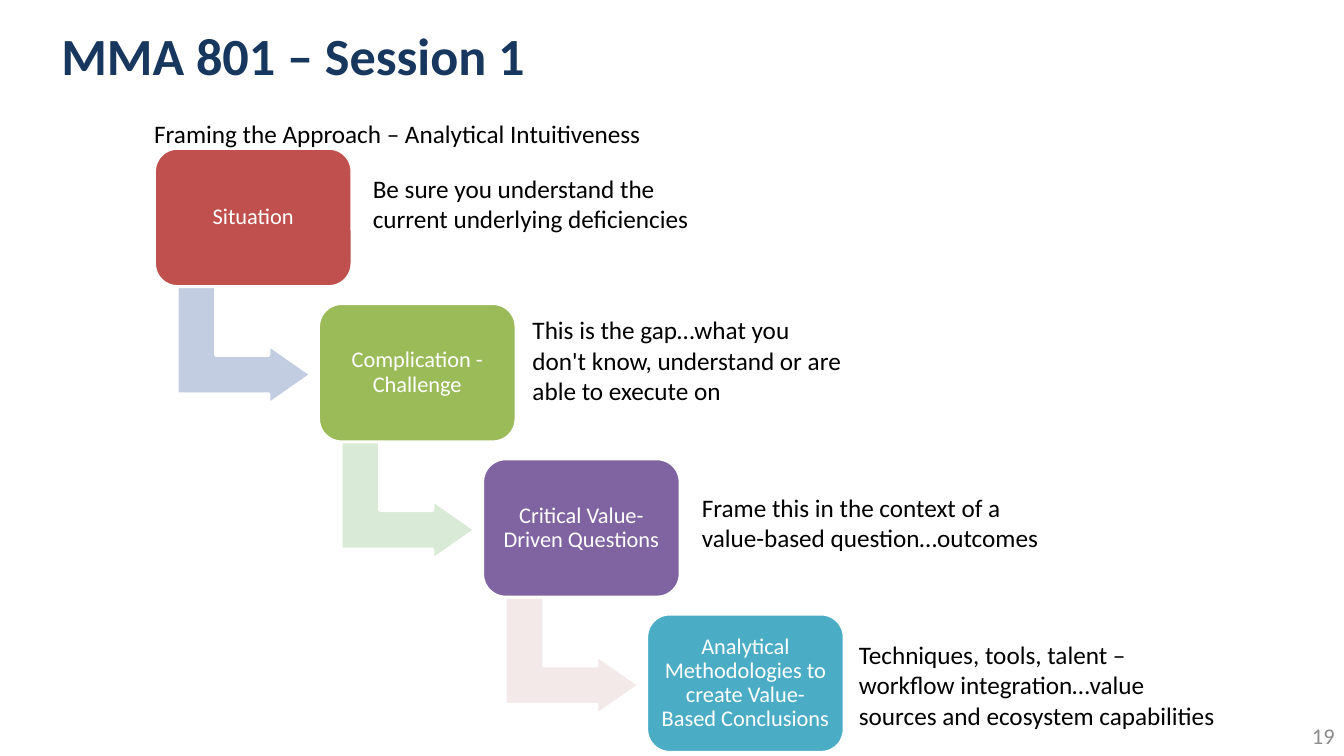
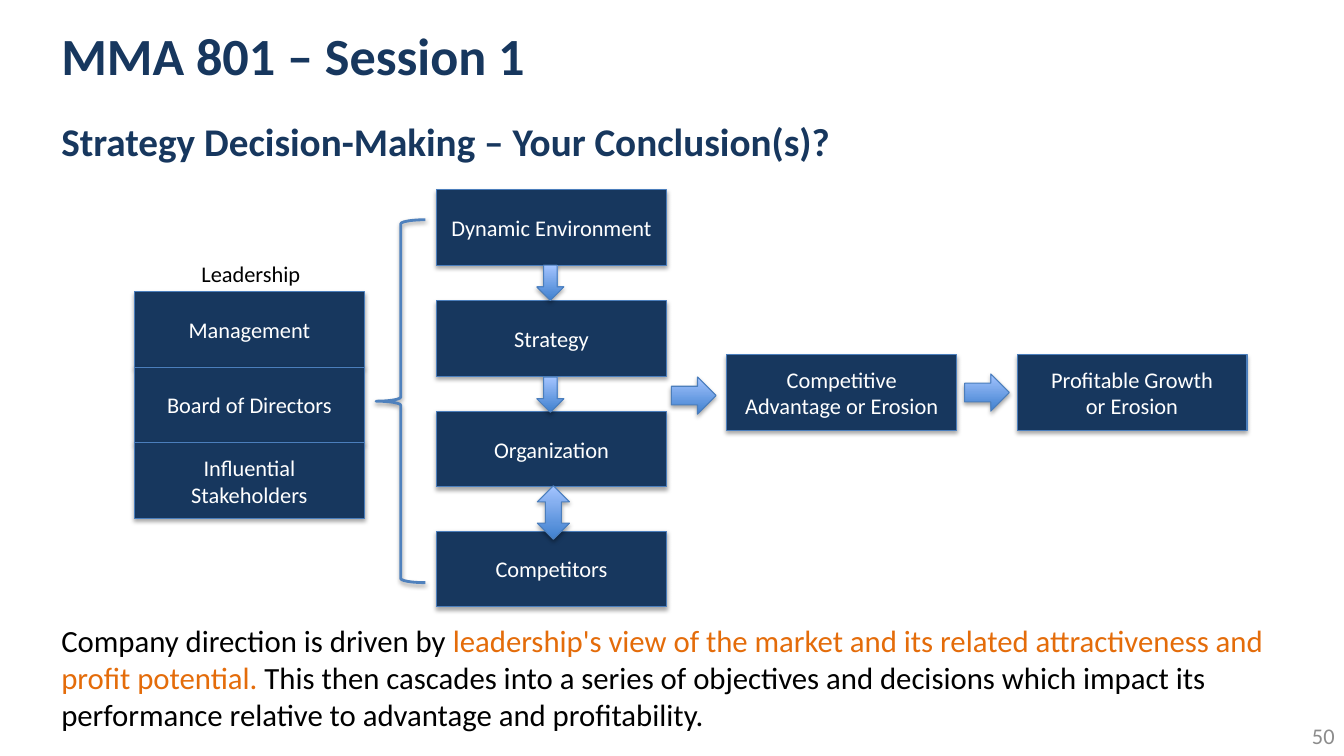
from lxml.etree import SubElement
from pptx import Presentation
from pptx.dml.color import RGBColor
from pptx.enum.shapes import MSO_SHAPE as Preset
from pptx.enum.text import MSO_ANCHOR as Anchor, PP_ALIGN as Align
from pptx.oxml.ns import qn
from pptx.util import Pt

COLORS = {
    "navy": "17375E", "white": "FFFFFF", "black": "000000", "gray": "8C8C8C",
    "orange": "E46C0A", "edge": "4B7EBC", "brace": "4F81BD",
    "arrow_dark": "3F80CE", "arrow_light": "A4C4FF",
    "red": "C0504D", "green": "9BBB59", "purple": "8064A2", "teal": "4BACC6",
    "pale_blue": "C2CDE1", "pale_green": "D9EBD6", "pale_pink": "F4E9E9",
}
FONT = "Calibri"


def color(name):
    return RGBColor.from_string(COLORS[name])


def write(shape, text, size=16, ink="black", bold=False, align=Align.LEFT,
          anchor=Anchor.TOP, spacing=None, inset=None):
    """Fill a shape with text: a string, or a list of (string, colour) runs."""
    frame = shape.text_frame
    frame.word_wrap = True
    frame.vertical_anchor = anchor
    if inset is not None:
        frame.margin_left = frame.margin_right = Pt(inset)
        frame.margin_top = frame.margin_bottom = Pt(inset)
    paragraph = frame.paragraphs[0]
    paragraph.alignment = align
    paragraph.line_spacing = spacing
    runs = [(text, ink)] if isinstance(text, str) else text
    for words, run_ink in runs:
        for number, line in enumerate(words.split("\n")):
            if number:
                paragraph.add_line_break()
            run = paragraph.add_run()
            run.text = line
            run.font.name, run.font.size, run.font.bold = FONT, Pt(size), bold
            run.font.color.rgb = color(run_ink)


class Deck:
    """Holds the shared style and the slide being drawn."""

    def __init__(self):
        self.presentation = Presentation()
        self.presentation.slide_width = Pt(960)
        self.presentation.slide_height = Pt(540)
        self.slide = None

    def new_slide(self, title, number):
        layout = self.presentation.slide_layouts[6]
        self.slide = self.presentation.slides.add_slide(layout)
        self.text(title, 36.7, 5, 788, 67.7, size=37.3, ink="navy", bold=True,
                  anchor=Anchor.MIDDLE)
        self.text(str(number), 843, 511.2, 117.4, 28.8, ink="gray",
                  align=Align.RIGHT, anchor=Anchor.MIDDLE)

    def text(self, text, left, top, width, height, **style):
        box = self.slide.shapes.add_textbox(Pt(left), Pt(top), Pt(width), Pt(height))
        write(box, text, **style)

    def shape(self, preset, left, top, width, height, fill=None, line="edge",
              weight=0.75, adjust=(), shadow=0):
        """Draw a preset shape; shadow is its opacity in percent."""
        shape = self.slide.shapes.add_shape(preset, Pt(left), Pt(top), Pt(width), Pt(height))
        for index, value in enumerate(adjust):
            shape.adjustments[index] = value
        if fill:
            shape.fill.solid()
            shape.fill.fore_color.rgb = color(fill)
        else:
            shape.fill.background()
        shape.line.color.rgb = color(line)
        shape.line.width = Pt(weight)
        shape.shadow.inherit = False
        if shadow:
            effects = shape.element.spPr.find(qn("a:effectLst"))
            outer = SubElement(effects, qn("a:outerShdw"), blurRad=str(Pt(3.1)),
                               dist=str(Pt(1.8)), dir="5400000", rotWithShape="0")
            tint = SubElement(outer, qn("a:srgbClr"), val=COLORS["black"])
            SubElement(tint, qn("a:alpha"), val=str(shadow * 1000))
        return shape

    def step_card(self, text, left, top, fill):
        card = self.shape(Preset.ROUNDED_RECTANGLE, left, top, 141, 98.7, fill=fill,
                          line="white", weight=2, adjust=[0.167])
        write(card, text, ink="white", align=Align.CENTER, anchor=Anchor.MIDDLE,
              spacing=0.9, inset=5)

    def step_arrow(self, left, top, fill):
        arrow = self.shape(Preset.BENT_UP_ARROW, left, top, 83.7, 95.5, fill=fill,
                           line="white", weight=2, adjust=[0.328, 0.25, 0.358])
        arrow.rotation = 90

    def box(self, text, left, top):
        box = self.shape(Preset.RECTANGLE, left, top, 164.3, 54, fill="navy", shadow=35)
        write(box, text, ink="white", align=Align.CENTER, anchor=Anchor.MIDDLE)

    def block_arrow(self, preset, left, top, width, height):
        arrow = self.shape(preset, left, top, width, height, shadow=35)
        arrow.fill.gradient()
        arrow.fill.gradient_angle = 90
        for stop, name in zip(arrow.fill.gradient_stops, ("arrow_dark", "arrow_light")):
            stop.color.rgb = color(name)


def framing_slide(deck):
    deck.new_slide("MMA 801 – Session 1", 19)

    # Staircase: card, arrow to the next card, note (left, top, width, height)
    steps = [
        ("Situation", "red", "pale_blue",
         "Be sure you understand the current underlying deficiencies",
         (259.2, 120.2, 245.5, 51)),
        ("Complication - Challenge", "green", "pale_green",
         "This is the gap…what you don't know, understand or are able to execute on",
         (373.3, 221.3, 234.7, 72.7)),
        ("Critical Value-Driven Questions", "purple", "pale_pink",
         "Frame this in the context of a value-based question…outcomes",
         (494.2, 348.1, 272.9, 51)),
        ("Analytical Methodologies to create Value-Based Conclusions", "teal", None,
         "Techniques, tools, talent – workflow integration…value sources "
         "and ecosystem capabilities",
         (606.4, 453.2, 272.2, 72.7)),
    ]
    for index, (label, fill, arrow_fill, note, place) in enumerate(steps):
        left, top = 110.4 + 117.2 * index, 106 + 110.9 * index
        if arrow_fill:
            deck.step_arrow(left + 22, top + 92.9, arrow_fill)
        deck.step_card(label, left, top, fill)
        deck.text(note, *place, size=18)

    # Heading
    deck.text("Framing the Approach – Analytical Intuitiveness",
              103, 80.9, 512.6, 29, size=18)


def strategy_slide(deck):
    deck.new_slide("MMA 801 – Session 1", 50)
    deck.text("Strategy Decision-Making – Your Conclusion(s)?",
              36.7, 80.5, 889, 44, size=28, ink="navy", bold=True)

    # Leadership stack
    deck.text("Leadership", 136.8, 182.2, 116.6, 26.6)
    for index, label in enumerate(
            ["Management", "Board of Directors", "Influential Stakeholders"]):
        deck.box(label, 96, 208.3 + 54 * index)

    # Central column and results
    for label, left, top in [
        ("Dynamic Environment", 311.8, 135.4),
        ("Strategy", 311.8, 214.6),
        ("Organization", 311.8, 293.8),
        ("Competitors", 311.8, 379.4),
        ("Competitive Advantage or Erosion", 519.1, 253.4),
        ("Profitable Growth\nor Erosion", 726.5, 253.4),
    ]:
        deck.box(label, left, top)

    # Arrows and brace
    for left, top in [(479.5, 269.3), (689, 267.1)]:
        deck.block_arrow(Preset.RIGHT_ARROW, left, top, 32, 26.6)
    for top in (189.4, 269.3):
        deck.block_arrow(Preset.DOWN_ARROW, 383.4, top, 19.4, 25.2)
    deck.block_arrow(Preset.UP_DOWN_ARROW, 383.8, 347, 23, 38.2)
    deck.shape(Preset.LEFT_BRACE, 268.6, 157, 35.3, 259.2, line="brace", weight=2, shadow=38)

    # Conclusion
    deck.text([
        ("Company direction is driven by ", "black"),
        ("leadership's view of the market and its related attractiveness "
         "and profit potential. ", "orange"),
        ("This then cascades into a series of objectives and decisions which "
         "impact its performance relative to advantage and profitability.", "black"),
    ], 36.7, 440.6, 889, 87, size=22)


def main():
    deck = Deck()
    framing_slide(deck)
    strategy_slide(deck)
    deck.presentation.save("out.pptx")


if __name__ == "__main__":
    main()
